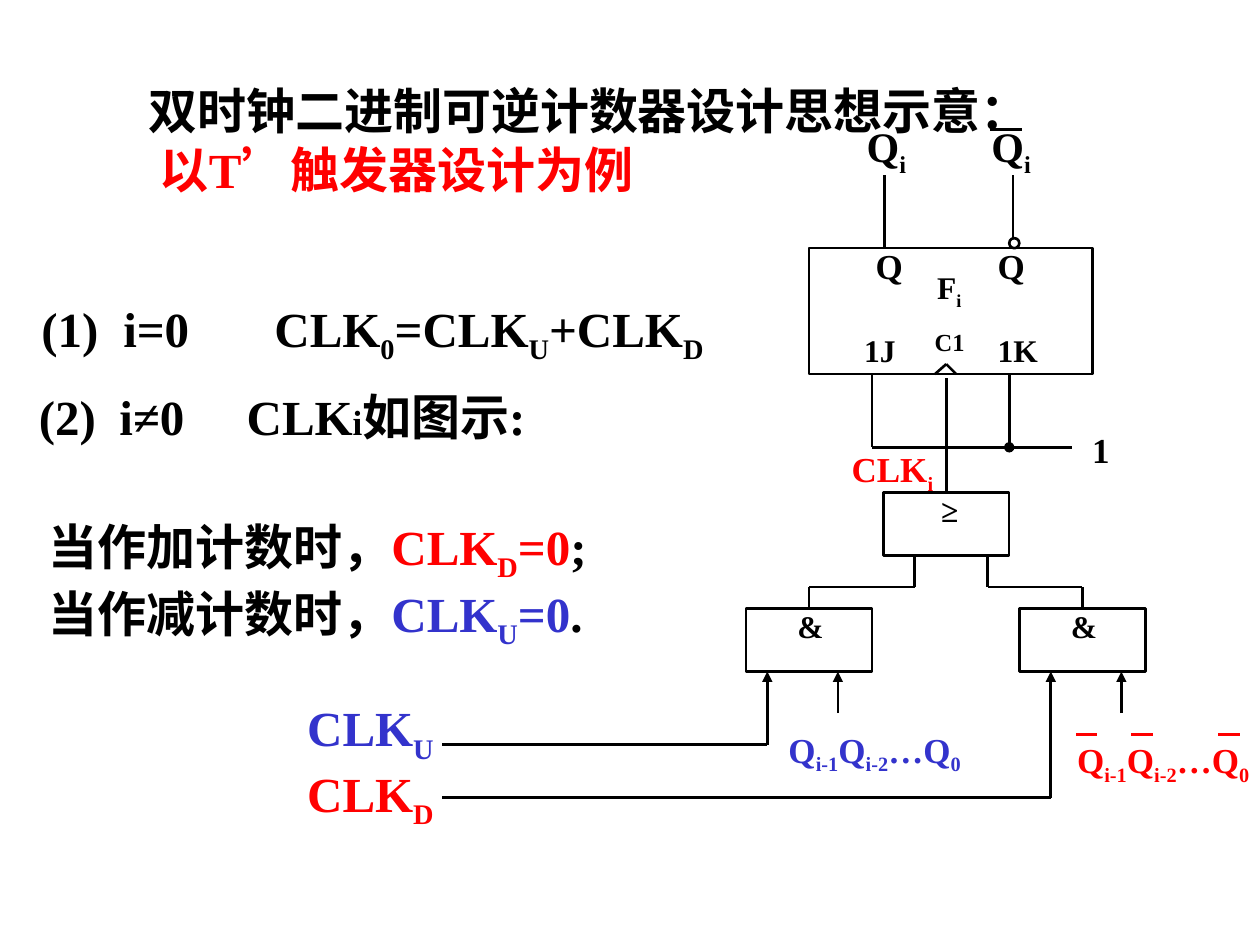
import itertools
import lxml.etree
import pptx
import pptx.dml.color
import pptx.enum.shapes
import pptx.enum.text
import pptx.oxml.ns
import pptx.util

Inches = pptx.util.Inches
SHAPE = pptx.enum.shapes.MSO_SHAPE
BLACK = pptx.dml.color.RGBColor(0x00, 0x00, 0x00)
RED = pptx.dml.color.RGBColor(0xFF, 0x00, 0x00)
BLUE = pptx.dml.color.RGBColor(0x33, 0x33, 0xCC)
FONT = "Times New Roman"
STROKE = pptx.util.Pt(1.5)


def add_tag(parent, name, **attrs):
    return lxml.etree.SubElement(parent, pptx.oxml.ns.qn(name), **attrs)


def set_para(para, parts, size, tabs=(), indent=0):
    props = para._p.get_or_add_pPr()
    if indent:
        props.set("marL", str(Inches(indent)))
        props.set("indent", "0")
    if tabs:
        stops = add_tag(props, "a:tabLst")
        for stop in tabs:
            add_tag(stops, "a:tab", pos=str(Inches(stop)), algn="l")
    para.alignment = pptx.enum.text.PP_ALIGN.LEFT
    font = para.font
    font.name, font.size, font.bold = FONT, pptx.util.Pt(size), True
    hues = {hue for _, hue in parts}
    if len(hues) == 1:
        font.color.rgb = parts[0][1]
    for text, hue in parts:
        for index, piece in enumerate(text.split("_")):
            if not piece:
                continue
            run = para.add_run()
            run.text = piece
            if len(hues) > 1:
                run.font.color.rgb = hue
            if index % 2:
                run._r.get_or_add_rPr().set("baseline", "-25000")


def add_text(slide, box, x, y, w, h, lines, size, tabs=()):
    shape = slide.shapes.add_textbox(
        box[0] + Inches(x), box[1] + Inches(y), Inches(w), Inches(h))
    frame = shape.text_frame
    frame.word_wrap = False
    frame.auto_size = pptx.enum.text.MSO_AUTO_SIZE.SHAPE_TO_FIT_TEXT
    for index, parts in enumerate(lines):
        para = frame.add_paragraph() if index else frame.paragraphs[0]
        set_para(para, parts, size, tabs)
    return frame


def add_label(slide, box, x, y, w, h, text, size, hue=BLACK):
    add_text(slide, box, x, y, w, h, [[(text, hue)]], size)


def add_wire(slide, box, points, hue=BLACK, tail=None):
    left, top = box
    for (x1, y1), (x2, y2) in itertools.pairwise(points):
        line = slide.shapes.add_connector(
            pptx.enum.shapes.MSO_CONNECTOR.STRAIGHT,
            left + Inches(x1), top + Inches(y1),
            left + Inches(x2), top + Inches(y2))
        line.line.color.rgb = hue
        line.line.width = STROKE
        if tail and (x2, y2) == points[-1]:
            add_tag(line.line._get_or_add_ln(), "a:tailEnd", type=tail)
        add_tag(line._element.spPr, "a:effectLst")


def add_block(slide, box, x, y, w, h, kind=SHAPE.RECTANGLE):
    shape = slide.shapes.add_shape(
        kind, box[0] + Inches(x), box[1] + Inches(y), Inches(w), Inches(h))
    shape.shadow.inherit = False
    shape.fill.background()
    shape.line.color.rgb = BLACK
    shape.line.width = STROKE


def add_title(slide, box):
    title = slide.shapes.title
    title.left, title.top = box
    title.width, title.height = Inches(9), Inches(1.04)
    frame = title.text_frame
    frame.word_wrap = True
    frame.auto_size = pptx.enum.text.MSO_AUTO_SIZE.NONE
    frame.vertical_anchor = pptx.enum.text.MSO_ANCHOR.TOP
    set_para(frame.paragraphs[0],
             [("双时钟二进制可逆计数器设计思想示意：", BLACK)], 28, indent=0.17)
    set_para(frame.add_paragraph(), [("以T’触发器设计为例", RED)], 28, indent=0.26)


def add_notes(slide, box):
    add_text(slide, box, 0.02, 0, 6.18, 0.63,
             [[("(1)\ti=0\tCLK_0_=CLK_U_+CLK_D", BLACK)]], 28, (0.65, 1.85))
    case = add_text(slide, box, 0, 0.7, 4.4, 0.57,
                    [[("(2)\ti≠0\tCLK", BLACK), ("i", BLACK), ("如图示:", BLACK)]],
                    28, (0.64, 1.65))
    case.paragraphs[0].runs[1].font.size = pptx.util.Pt(20)
    add_text(slide, box, 0.08, 1.73, 4.56, 1.16,
             [[("当作加计数时，", BLACK), ("CLK_D_=0", RED), (";", BLACK)],
              [("当作减计数时，", BLACK), ("CLK_U_=0", BLUE), (".", BLACK)]], 28)


def add_flip(slide, box):
    add_block(slide, box, 0, 0, 2.25, 1)
    add_block(slide, box, 1.59, -0.08, 0.08, 0.08, SHAPE.OVAL)
    for x, y, w, h, text, size in (
            (0.36, -1.06, 0.51, 0.56, "Q_i", 24),
            (1.35, -1.06, 0.51, 0.56, "Q_i", 24),
            (0.43, -0.08, 0.35, 0.44, "Q", 20),
            (1.40, -0.08, 0.35, 0.44, "Q", 20),
            (0.92, 0.11, 0.44, 0.44, "F_i", 18),
            (0.34, 0.61, 0.45, 0.4, "1J", 18),
            (1.40, 0.61, 0.52, 0.4, "1K", 18),
            (0.90, 0.58, 0.44, 0.34, "C1", 14),
            (2.15, 1.38, 0.34, 0.44, "1", 20)):
        add_label(slide, box, x, y, w, h, text, size)
    add_label(slide, box, 0.24, 1.53, 0.85, 0.48, "CLK_i", 20, RED)
    for points in (
            [(1.44, -0.94), (1.69, -0.94)],
            [(0.6, -0.58), (0.6, 0)],
            [(1.62, -0.58), (1.62, -0.08)],
            [(1, 1), (1.09, 0.92), (1.17, 1)],
            [(1.09, 1.03), (1.09, 1.94)],
            [(0.5, 1), (0.5, 1.58), (2.09, 1.58)]):
        add_wire(slide, box, points)
    add_wire(slide, box, [(1.59, 1), (1.59, 1.58)], tail="oval")


def add_gates(slide, box):
    for x, y, text, dx in (
            (1.09, 0, "≥", 0.36), (0, 0.92, "&", 0.31), (2.17, 0.92, "&", 0.31)):
        add_block(slide, box, x, y, 1, 0.5)
        add_label(slide, box, x + dx, y - 0.06, 0.41, 0.4, text, 18)
    for start, end in ((1.34, 0.5), (1.92, 2.67)):
        add_wire(slide, box, [(start, 0.5), (start, 0.75), (end, 0.75), (end, 0.92)])
    for x in (0.73, 2.98):
        add_wire(slide, box, [(x, 1.75), (x, 1.42)], tail="triangle")
    for x, y, hue in ((0.24, 1.82, BLUE), (2.53, 1.9, RED)):
        add_label(slide, box, x, y, 1.57, 0.48, "Q_i-1_Q_i-2_…Q_0", 20, hue)
    for x in (2.62, 3.06, 3.75):
        add_wire(slide, box, [(x, 1.92), (x + 0.17, 1.92)], RED)


def add_clocks(slide, box):
    for y, text, hue, turn in ((0, "CLK_U", BLUE, 3.75), (0.52, "CLK_D", RED, 6)):
        add_label(slide, box, 0, y, 1.3, 0.63, text, 28, hue)
        wire = 0.42 + y * 0.81
        add_wire(slide, box, [(1.17, wire), (turn, wire), (turn, -0.16)],
                 tail="triangle")


def main():
    deck = pptx.Presentation()
    deck.slide_width, deck.slide_height = Inches(10), Inches(7.5)
    slide = deck.slides.add_slide(deck.slide_layouts[5])
    add_title(slide, (Inches(0.91), Inches(0.59)))
    add_notes(slide, (Inches(0.21), Inches(2.32)))
    add_flip(slide, (Inches(6.42), Inches(1.97)))
    add_gates(slide, (Inches(5.92), Inches(3.91)))
    add_clocks(slide, (Inches(2.34), Inches(5.49)))
    deck.save("out.pptx")


if __name__ == "__main__":
    main()
